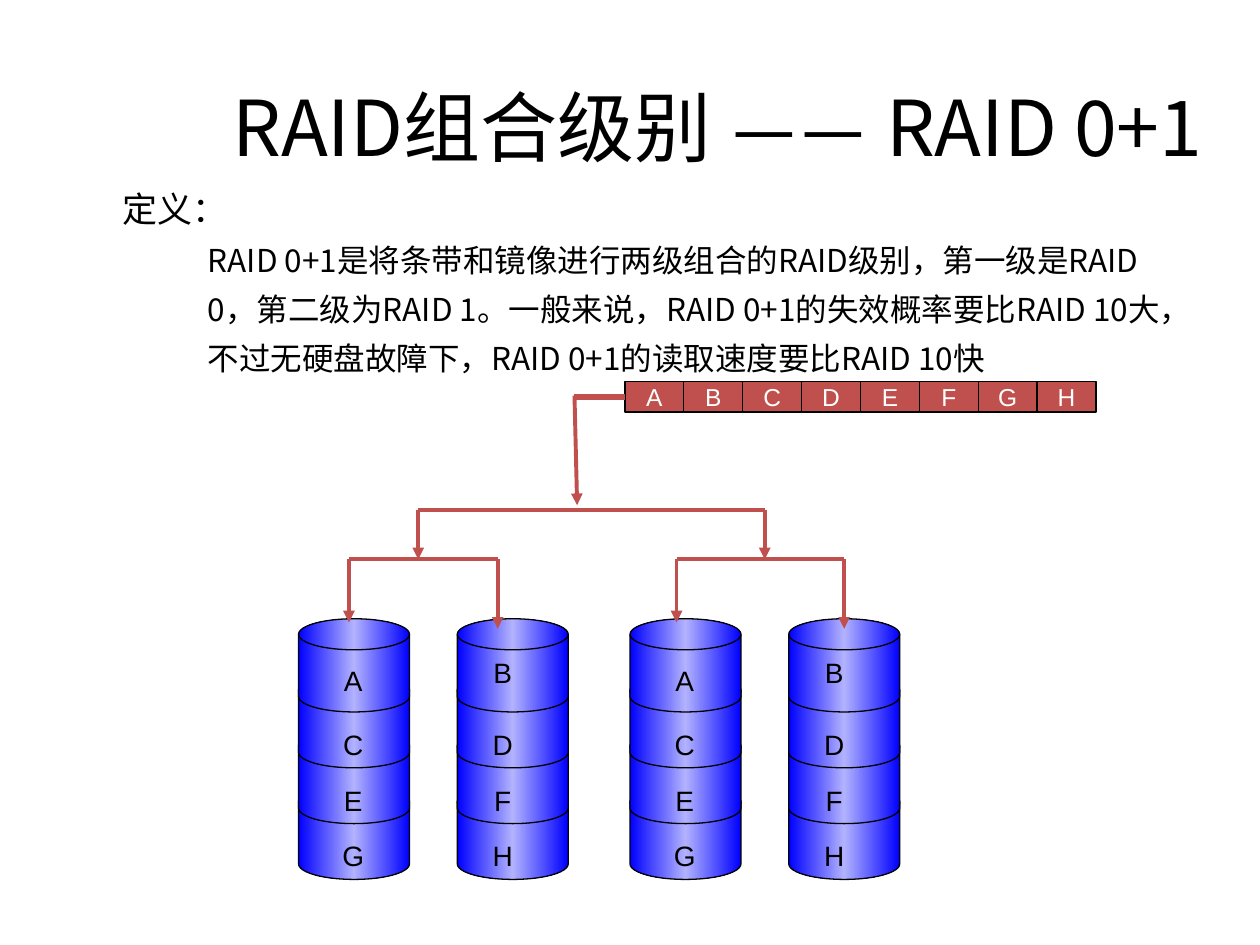
import copy
import dataclasses

import lxml.etree
import pptx
import pptx.dml.color
import pptx.enum.shapes
import pptx.enum.text
import pptx.oxml.ns
import pptx.util

Pt = pptx.util.Pt
RGB = pptx.dml.color.RGBColor.from_string
qn = pptx.oxml.ns.qn
SHAPE = pptx.enum.shapes.MSO_SHAPE
ALIGN = pptx.enum.text.PP_ALIGN
ANCHOR = pptx.enum.text.MSO_ANCHOR
AUTO_SIZE = pptx.enum.text.MSO_AUTO_SIZE


@dataclasses.dataclass(frozen=True)
class Theme:
    ink: str = "000000"
    block: str = "C0504D"
    block_text: str = "FFFFFF"
    disk_edge: str = "0000FF"
    disk_shine: str = "B2B2FF"
    main_font: str = "Noto Sans CJK SC"
    dash_font: str = "Calibri"
    label_font: str = "Arial"
    title: float = 44
    heading: float = 20
    body: float = 18
    label: float = 16
    block_label: float = 14
    outline: float = 0.75
    arrow: float = 2.25
    feed: float = 3


@dataclasses.dataclass(frozen=True)
class Box:
    left: float
    top: float
    width: float
    height: float

    def lengths(self):
        return [Pt(value) for value in dataclasses.astuple(self)]


THEME = Theme()


def place(shape, box):
    shape.left, shape.top, shape.width, shape.height = box.lengths()


def add_span(para, text, size, font, color=THEME.ink):
    span = para.add_run()
    span.text = text
    span.font.size = Pt(size)
    span.font.name = font
    span.font.color.rgb = RGB(color)
    east_asian = lxml.etree.SubElement(span._r.get_or_add_rPr(), qn("a:ea"))
    east_asian.set("typeface", font)


def add_line(page, start, end, width=THEME.arrow, arrow=False):
    points = [Pt(value) for value in (*start, *end)]
    line = page.shapes.add_connector(pptx.enum.shapes.MSO_CONNECTOR.STRAIGHT, *points)
    line.line.color.rgb = RGB(THEME.block)
    line.line.width = Pt(width)
    if arrow:
        lxml.etree.SubElement(line.get_or_add_ln(), qn("a:tailEnd")).set("type", "triangle")
    lxml.etree.SubElement(line._element.spPr, qn("a:effectLst"))


def add_title(page, box):
    title = page.shapes.title
    place(title, box)
    frame = title.text_frame
    frame.auto_size = AUTO_SIZE.NONE
    frame.vertical_anchor = ANCHOR.MIDDLE
    para = frame.paragraphs[0]
    para.alignment = ALIGN.CENTER
    for text, font in (
        ("RAID组合级别 ", THEME.main_font),
        ("—— ", THEME.dash_font),
        ("RAID 0+1 ", THEME.main_font),
    ):
        add_span(para, text, THEME.title, font)


def add_definition(page, box):
    body = page.placeholders[1]
    place(body, box)
    frame = body.text_frame
    frame.auto_size = AUTO_SIZE.NONE
    frame.vertical_anchor = ANCHOR.TOP
    heading, detail = frame.paragraphs[0], frame.add_paragraph()
    detail.level = 1
    for para, margin, indent, spacing in ((heading, 27, -27, 1.5), (detail, 49, 0, 1.3)):
        properties = para._p.get_or_add_pPr()
        properties.set("marL", str(Pt(margin)))
        properties.set("indent", str(Pt(indent)))
        lxml.etree.SubElement(properties, qn("a:buNone"))
        para.line_spacing = spacing
        para.space_before = Pt(0)
    add_span(heading, "定义：", THEME.heading, THEME.main_font)
    add_span(
        detail,
        "RAID 0+1是将条带和镜像进行两级组合的RAID级别，第一级是RAID 0，第二级为RAID 1。"
        "一般来说，RAID 0+1的失效概率要比RAID 10大，不过无硬盘故障下，"
        "RAID 0+1的读取速度要比RAID 10快",
        THEME.body, THEME.main_font)


def add_data_blocks(page, box, names):
    step = box.width / len(names)
    for index, name in enumerate(names):
        cell = Box(box.left + index * step, box.top, step, box.height)
        block = page.shapes.add_shape(SHAPE.RECTANGLE, *cell.lengths())
        block.shadow.inherit = False
        block.fill.solid()
        block.fill.fore_color.rgb = RGB(THEME.block)
        block.line.color.rgb = RGB(THEME.ink)
        block.line.width = Pt(THEME.outline)
        frame = block.text_frame
        frame.word_wrap = False
        frame.vertical_anchor = ANCHOR.MIDDLE
        frame.paragraphs[0].alignment = ALIGN.CENTER
        add_span(frame.paragraphs[0], name, THEME.block_label,
                 THEME.label_font, THEME.block_text)


def fill_disk(disk):
    disk.fill.gradient()
    disk.fill.gradient_angle = 0
    stop_list = disk._element.spPr.find(qn("a:gradFill")).find(qn("a:gsLst"))
    stop_list.insert(1, copy.deepcopy(stop_list[0]))
    colors = (THEME.disk_edge, THEME.disk_shine, THEME.disk_edge)
    for stop, position, color in zip(disk.fill.gradient_stops, (0, 0.5, 1), colors):
        stop.position = position
        stop.color.rgb = RGB(color)


def add_disk_stack(page, box, count=4, disk_height=53.3):
    """Stack disks from the bottom up, so each one overlaps the disk below."""
    stack = page.shapes.add_group_shape()
    step = (box.height - disk_height) / (count - 1)
    for level in reversed(range(count)):
        cell = Box(box.left, box.top + level * step, box.width, disk_height)
        disk = stack.shapes.add_shape(SHAPE.FLOWCHART_MAGNETIC_DISK, *cell.lengths())
        disk.shadow.inherit = False
        fill_disk(disk)
        disk.line.color.rgb = RGB(THEME.ink)
        disk.line.width = Pt(THEME.outline)


def add_disk_label(page, box, name):
    label = page.shapes.add_textbox(*box.lengths())
    frame = label.text_frame
    frame.word_wrap = True
    frame.auto_size = AUTO_SIZE.SHAPE_TO_FIT_TEXT
    frame.paragraphs[0].alignment = ALIGN.CENTER
    add_span(frame.paragraphs[0], name, THEME.label, THEME.label_font)


def add_stripe_set(page, box):
    """Two disk stacks that share the blocks A to H in turn."""
    disk_width = 63.4
    for left in (box.left, box.left + box.width - disk_width):
        add_disk_stack(page, Box(left, box.top, disk_width, box.height))
    columns = (("ACEG", 11.8, 22), ("BDFH", 97.2, 17.3))
    for names, left, first_top in columns:
        for name, top in zip(names, (first_top, 58.7, 90.7, 122)):
            add_disk_label(page, Box(box.left + left, box.top + top, 38.9, 26.6), name)


def add_fork(page, box, left_drop):
    """A bar with an arrow down from each end; the right one fills the box."""
    right = box.left + box.width
    add_line(page, (box.left, box.top), (right, box.top))
    for x, drop in ((box.left, left_drop), (right, box.height)):
        add_line(page, (x, box.top), (x, box.top + drop), arrow=True)


def main():
    deck = pptx.Presentation()
    deck.slide_width, deck.slide_height = Pt(720), Pt(540)
    page = deck.slides.add_slide(deck.slide_layouts[1])
    add_title(page, Box(110, 49, 610, 45.4))
    add_definition(page, Box(62.6, 91.4, 620.6, 130.3))
    for left in (170.6, 360):
        add_stripe_set(page, Box(left, 353.6, 154.1, 149))
    add_fork(page, Box(239, 291.6, 198, 28.1), 28.1)
    add_fork(page, Box(199.4, 319.7, 85, 39.6), 36)
    add_fork(page, Box(386.6, 319.7, 95.8, 39.6), 36)
    add_data_blocks(page, Box(357.1, 218.2, 269.2, 17.3), "ABCDEFGH")
    add_line(page, (328.3, 226.8), (357.1, 226.8), THEME.feed)
    add_line(page, (328.3, 226.1), (329.8, 288.7), arrow=True)
    deck.save("out.pptx")


if __name__ == "__main__":
    main()
